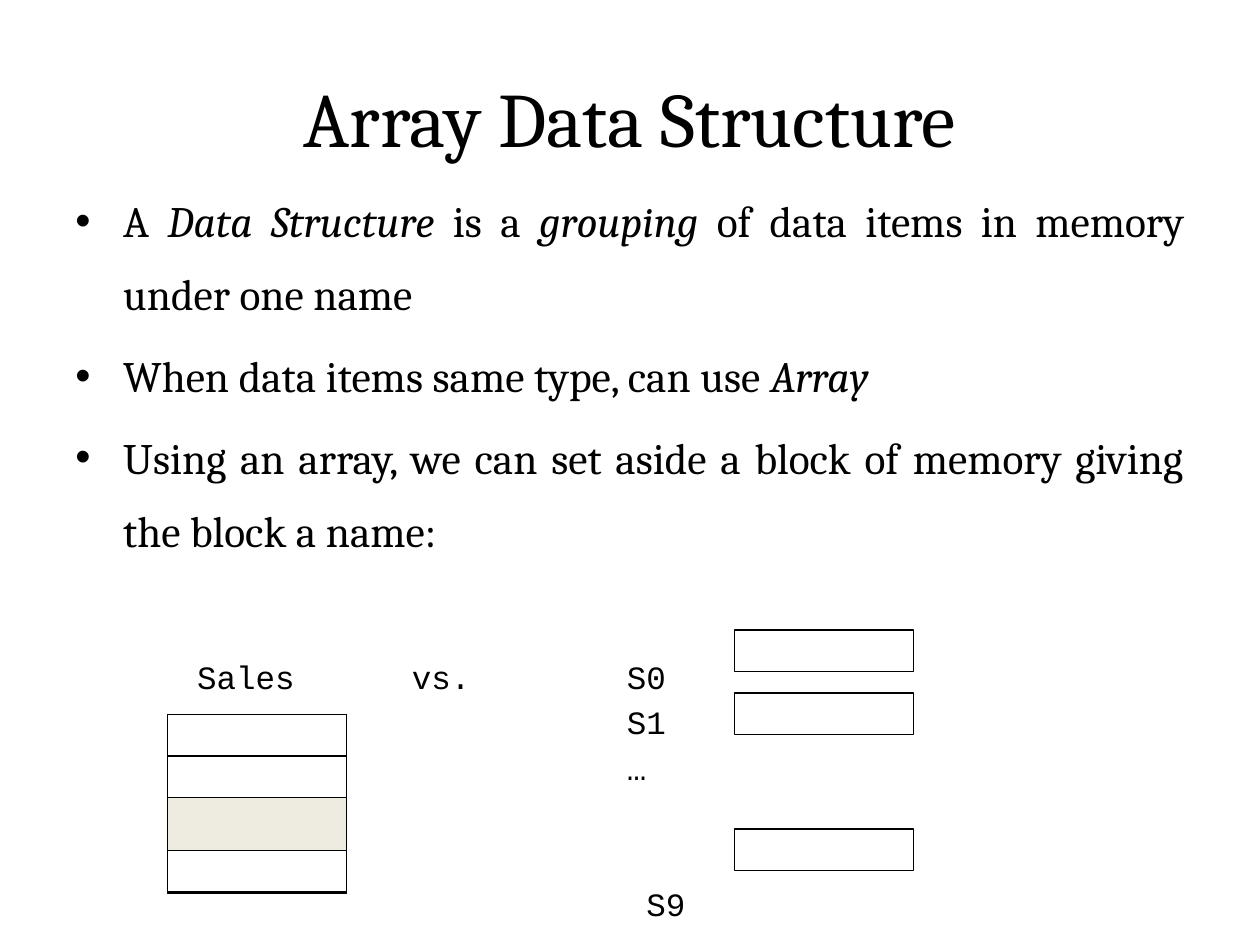
from dataclasses import dataclass
from typing import Optional

from lxml.etree import SubElement
from pptx import Presentation
from pptx.dml.color import RGBColor
from pptx.enum.shapes import MSO_SHAPE as Shape
from pptx.enum.text import MSO_ANCHOR as Anchor, PP_ALIGN as Align
from pptx.oxml.ns import qn
from pptx.util import Inches, Pt

WIDTH, HEIGHT = 10, 7.5
MARGIN = 0.05 * WIDTH
BODY_FONT, CODE_FONT = "Cambria", "Courier New"
BLACK, WHITE, CREAM = "000000", "FFFFFF", "EEECE1"
CODE_SIZE = 18.6
CODE_LEFT, CODE_TOP = 1.1, 5.19
CODE_COLUMN, CODE_ROW = 0.155, 0.36
CELL_WIDTH, CELL_HEIGHT = 1.42, 0.33
ARRAY_LEFT, VARIABLE_LEFT = 1.33, 5.83


@dataclass
class Label:
    text: str
    column: int
    row: int


@dataclass
class Cell:
    left: float
    top: float
    height: float = CELL_HEIGHT
    fill: Optional[str] = None


BULLETS = [
    [("A ", False), ("Data Structure", True), (" is a ", False), ("grouping ", True),
     ("of data items in memory under one name", False)],
    [("When data items same type, can use ", False), ("Array", True)],
    [("Using an array, we can set aside a block of memory giving the block a name:", False)],
]
LABELS = [
    Label("Sales", 3, 0), Label("vs.", 14, 0), Label("S0", 25, 0),
    Label("S1", 25, 1), Label("…", 25, 2), Label("S9", 26, 5),
]
CELLS = [Cell(ARRAY_LEFT, 5.67, 1.42, CREAM)]
CELLS += [Cell(ARRAY_LEFT, top, fill=WHITE) for top in (5.67, 6, 6.75)]
CELLS += [Cell(VARIABLE_LEFT, top) for top in (5, 5.5, 6.58)]


def color(value: str) -> RGBColor:
    return RGBColor.from_string(value)


def style(font, name: str, size: float, italic: bool = False) -> None:
    font.name, font.size, font.italic = name, Pt(size), italic
    font.color.rgb = color(BLACK)


def add_box(page, left: float, top: float, width: float, height: float):
    box = page.shapes.add_textbox(Inches(left), Inches(top), Inches(width), Inches(height))
    box.text_frame.word_wrap = True
    return box.text_frame


def add_title(page, text: str) -> None:
    frame = add_box(page, MARGIN, 0.04 * HEIGHT, WIDTH - 2 * MARGIN, 1.25)
    frame.vertical_anchor = Anchor.MIDDLE
    frame.text = text
    para = frame.paragraphs[0]
    para.alignment = Align.CENTER
    style(para.runs[0].font, BODY_FONT, 44)


def add_bullets(page) -> None:
    frame = add_box(page, MARGIN, 1.33, WIDTH - 2 * MARGIN, 3.3)
    for index, spans in enumerate(BULLETS):
        para = frame.add_paragraph() if index else frame.paragraphs[0]
        para.alignment, para.line_spacing = Align.JUSTIFY, 1.4
        para.space_before = Pt(5 if index else 0)
        properties = para._p.get_or_add_pPr()
        properties.set("marL", str(Inches(0.38)))
        properties.set("indent", str(-Inches(0.38)))
        SubElement(properties, qn("a:buFont"), typeface="Arial")
        SubElement(properties, qn("a:buChar"), char="•")
        for text, italic in spans:
            span = para.add_run()
            span.text = text
            style(span.font, BODY_FONT, 24.8, italic)


def add_label(page, label: Label) -> None:
    frame = add_box(page, CODE_LEFT + label.column * CODE_COLUMN,
                    CODE_TOP + label.row * CODE_ROW, 1, CODE_ROW)
    frame.margin_left = frame.margin_right = frame.margin_top = frame.margin_bottom = 0
    frame.vertical_anchor = Anchor.MIDDLE
    frame.text = label.text
    style(frame.paragraphs[0].runs[0].font, CODE_FONT, CODE_SIZE)


def add_cell(page, cell: Cell) -> None:
    box = page.shapes.add_shape(Shape.RECTANGLE, Inches(cell.left), Inches(cell.top),
                                Inches(CELL_WIDTH), Inches(cell.height))
    box.shadow.inherit = False
    if cell.fill:
        box.fill.solid()
        box.fill.fore_color.rgb = color(cell.fill)
    else:
        box.fill.background()
    box.line.color.rgb = color(BLACK)
    box.line.width = Pt(0.75)


def main() -> None:
    deck = Presentation()
    deck.slide_width, deck.slide_height = Inches(WIDTH), Inches(HEIGHT)
    page = deck.slides.add_slide(deck.slide_layouts[6])
    add_title(page, "Array Data Structure")
    add_bullets(page)
    for label in LABELS:
        add_label(page, label)
    for cell in CELLS:
        add_cell(page, cell)
    deck.save("out.pptx")


if __name__ == "__main__":
    main()
